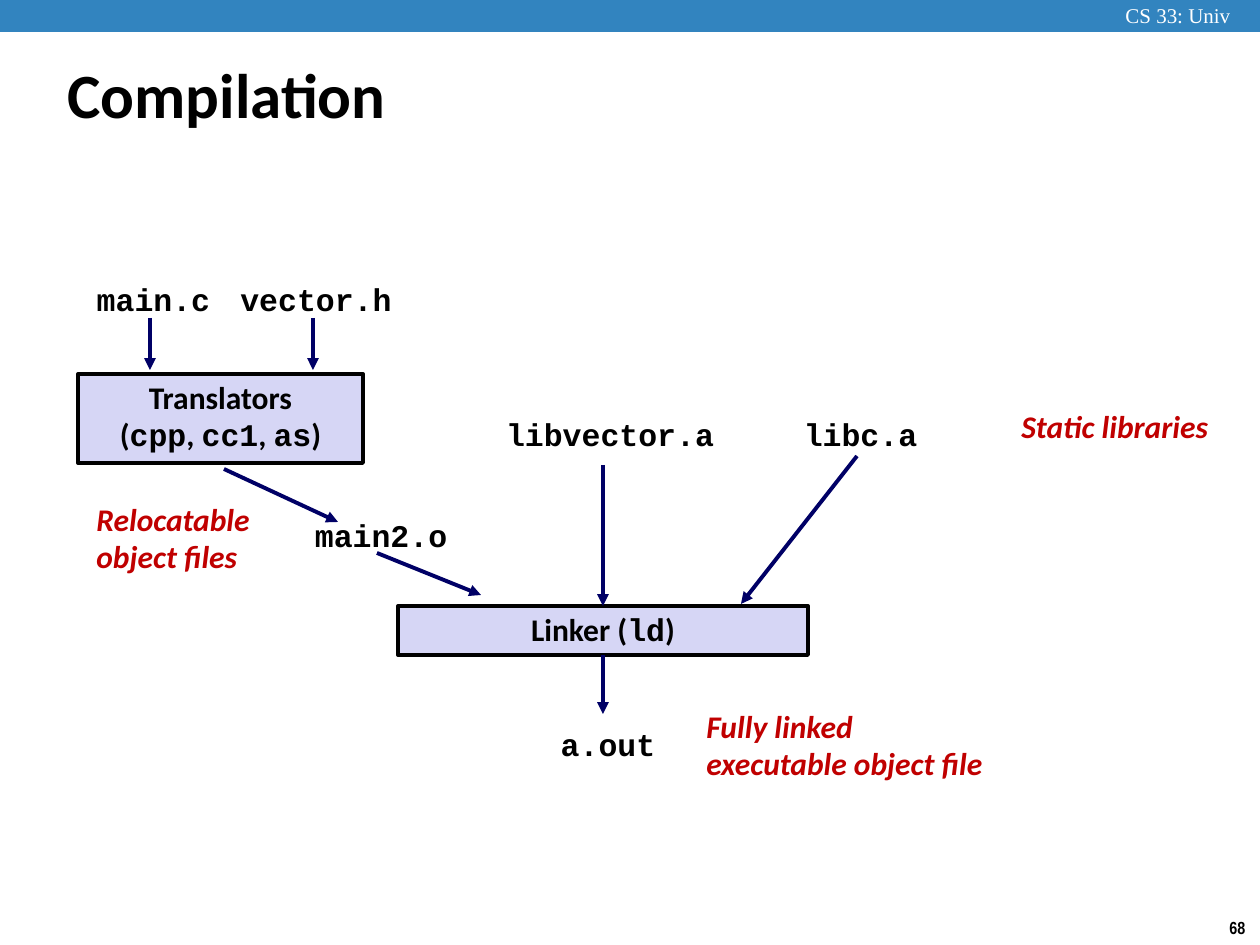
from lxml import etree
from pptx import Presentation
from pptx.dml.color import RGBColor
from pptx.enum.shapes import MSO_CONNECTOR, MSO_SHAPE
from pptx.enum.text import MSO_ANCHOR, PP_ALIGN
from pptx.oxml.ns import qn
from pptx.util import Pt

SCALE = 914400 / 126
RECTANGLE, STRAIGHT = MSO_SHAPE.RECTANGLE, MSO_CONNECTOR.STRAIGHT
TOP, MIDDLE = MSO_ANCHOR.TOP, MSO_ANCHOR.MIDDLE
LEFT, CENTER = PP_ALIGN.LEFT, PP_ALIGN.CENTER
TOP_SIDE, BOTTOM_SIDE = 0, 2
BODY_FONT, CODE_FONT = "Calibri", "Courier New"
COLORS = {
    "bar": "3284BF",
    "white": "FFFFFF",
    "black": "000000",
    "arrow": "000066",
    "step": "D6D6F5",
    "note": "C00000",
}


def emu(*lengths):
    """Turn lengths in px into EMU."""
    return [round(length * SCALE) for length in lengths]


def color(name):
    """Look up a named colour."""
    return RGBColor.from_string(COLORS[name])


def inside(box, left, top, *size):
    """Shift a place from the corner of a box to the page."""
    return (box[0] + left, box[1] + top, *size)


def write_text(frame, text, font=BODY_FONT, size=18, fill="black", bold=True,
               italic=False, align=LEFT, anchor=TOP, spacing=None, wrap=True):
    """Fill a frame with lines of text, with code between backticks."""
    frame.word_wrap = wrap
    frame.vertical_anchor = anchor
    for index, line in enumerate(text.split("\n")):
        para = frame.add_paragraph() if index else frame.paragraphs[0]
        para.alignment = align
        para.line_spacing = spacing
        for number, part in enumerate(line.split("`")):
            span = para.add_run()
            span.text = part
            span.font.name = CODE_FONT if number % 2 else font
            span.font.size = Pt(size)
            span.font.bold = bold
            span.font.italic = italic
            span.font.color.rgb = color(fill)


def add_label(page, box, text, **text_format):
    """Add a text box."""
    label = page.shapes.add_textbox(*emu(*box))
    write_text(label.text_frame, text, **text_format)


def add_file(page, box, name):
    """Add a file name in the code font."""
    add_label(page, box, name, font=CODE_FONT, align=CENTER, spacing=0.94, wrap=False)


def add_note(page, box, text):
    """Add a red remark."""
    add_label(page, box, text, fill="note", italic=True, spacing=0.98, wrap=False)


def add_rectangle(page, box, fill):
    """Add a plain filled rectangle."""
    rectangle = page.shapes.add_shape(RECTANGLE, *emu(*box))
    rectangle.shadow.inherit = False
    rectangle.fill.solid()
    rectangle.fill.fore_color.rgb = color(fill)
    rectangle.line.fill.background()
    return rectangle


def add_step(page, box, text):
    """Add an outlined box for a tool."""
    step = add_rectangle(page, box, "step")
    step.line.color.rgb = color("black")
    step.line.width = Pt(2.25)
    write_text(step.text_frame, text, align=CENTER, spacing=0.98)
    return step


def add_arrow(page, start, end):
    """Add a straight arrow between two points."""
    arrow = page.shapes.add_connector(STRAIGHT, *emu(*start, *end))
    arrow.line.color.rgb = color("arrow")
    arrow.line.width = Pt(2.25)
    etree.SubElement(arrow.line._get_or_add_ln(), qn("a:tailEnd"), type="triangle")
    etree.SubElement(arrow._element.spPr, qn("a:effectLst"))
    return arrow


def add_header(page, box):
    """Add the course bar across the top."""
    add_rectangle(page, box, "bar")
    add_label(page, inside(box, 1113, -4, 156, 38), "CS 33: Univ",
              font="Times New Roman", size=12, fill="white", bold=False)


def add_title(page, box):
    """Place and fill the title."""
    title = page.shapes.title
    title.left, title.top, title.width, title.height = emu(*box)
    write_text(title.text_frame, "Compilation", size=36, anchor=MIDDLE)


def add_translation(page, box):
    """Draw the sources, the translators and the object file."""
    add_file(page, inside(box, 6, 0, 139, 49), "main.c")
    add_file(page, inside(box, 150, 0, 176, 49), "vector.h")
    for x in (72, 235):
        add_arrow(page, inside(box, x, 41), inside(box, x, 93))
    add_step(page, inside(box, 0, 97, 285, 89), "Translators\n(`cpp`, `cc1`, `as`)")
    add_arrow(page, inside(box, 146, 192), inside(box, 260, 245))
    add_file(page, inside(box, 224, 236, 158, 49), "main2.o")
    add_arrow(page, inside(box, 299, 276), inside(box, 403, 318))
    add_note(page, inside(box, 6, 219, 180, 88), "Relocatable\nobject files")


def add_linking(page, box):
    """Draw the libraries, the linker and the executable."""
    add_file(page, inside(box, 95, 9, 234, 49), "libvector.a")
    add_file(page, inside(box, 393, 9, 139, 49), "libc.a")
    add_note(page, inside(box, 611, 0, 214, 50), "Static libraries")
    linker = add_step(page, inside(box, 0, 203, 410, 49), "Linker (`ld`)")
    library_arrow = add_arrow(page, inside(box, 205, 62), inside(box, 205, 203))
    library_arrow.end_connect(linker, TOP_SIDE)
    add_arrow(page, inside(box, 459, 53), inside(box, 343, 201))
    output_arrow = add_arrow(page, inside(box, 205, 252), inside(box, 205, 311))
    output_arrow.begin_connect(linker, BOTTOM_SIDE)
    add_file(page, inside(box, 150, 319, 120, 49), "a.out")
    add_note(page, inside(box, 296, 300, 305, 88), "Fully linked\nexecutable object file")


def main():
    """Build the deck and save it."""
    deck = Presentation()
    deck.slide_width, deck.slide_height = emu(1260, 945)
    page = deck.slides.add_slide(deck.slide_layouts[5])
    add_header(page, (0, 0, 1260, 32))
    add_label(page, (1217, 911, 43, 34), "68", font="Arial Narrow", size=10, wrap=False)
    add_title(page, (55, 39, 774, 108))
    add_translation(page, (78, 277, 403, 318))
    add_linking(page, (398, 403, 825, 388))
    deck.save("out.pptx")


if __name__ == "__main__":
    main()
